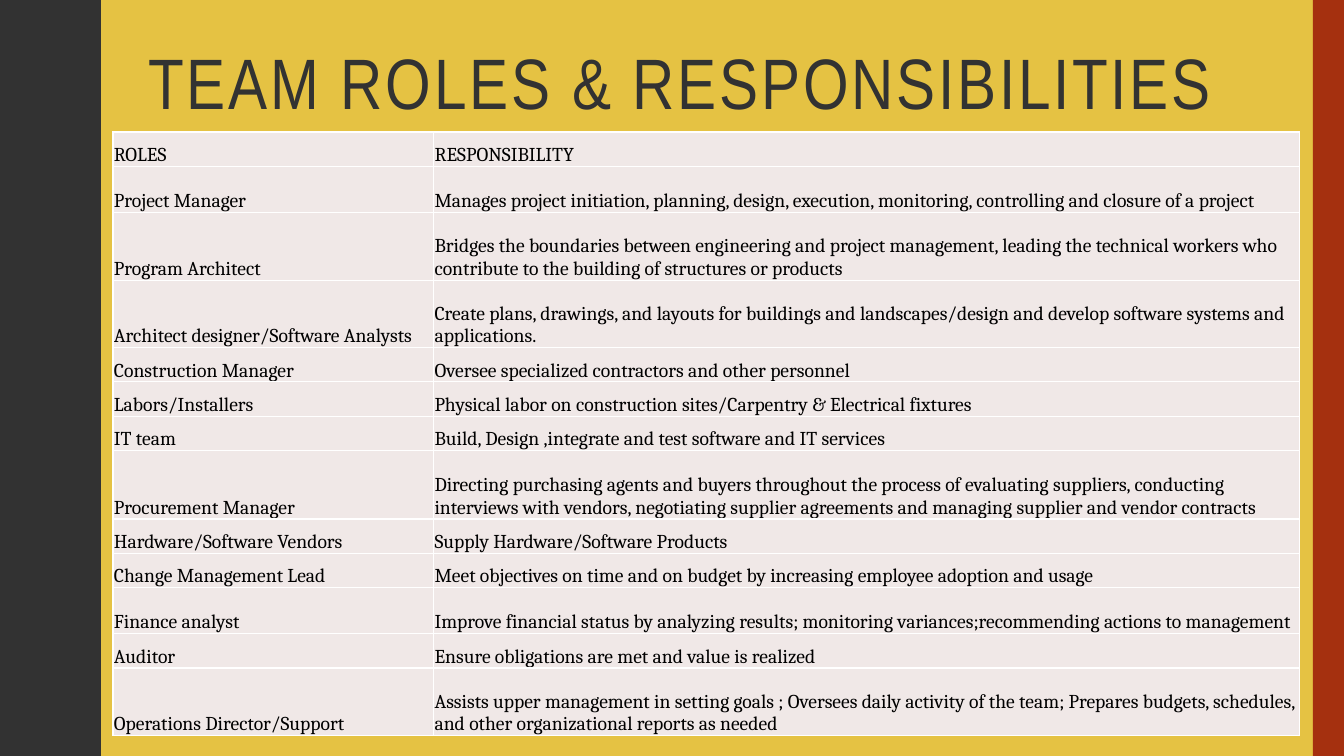
from lxml import etree
from pptx import Presentation
from pptx.dml.color import RGBColor
from pptx.enum import shapes, text
from pptx.oxml import ns
from pptx.util import Inches, Pt

TITLE = "TEAM ROLES & RESPONSIBILITIES"
# row height in inches, role, responsibility
ROLES = [
    (0.34, "ROLES", "RESPONSIBILITY"),
    (0.46, "Project Manager", "Manages project initiation, planning, design, execution, "
     "monitoring, controlling and closure of a project"),
    (0.67, "Program Architect", "Bridges the boundaries between engineering and project "
     "management, leading the technical workers who contribute to the building of "
     "structures or products"),
    (0.67, "Architect designer/Software Analysts", "Create plans, drawings, and layouts for "
     "buildings and landscapes/design and develop software systems and applications."),
    (0.34, "Construction Manager", "Oversee specialized contractors and other personnel"),
    (0.34, "Labors/Installers",
     "Physical labor on construction sites/Carpentry & Electrical fixtures"),
    (0.34, "IT team", "Build, Design ,integrate and test software and IT services"),
    (0.68, "Procurement Manager", "Directing purchasing agents and buyers throughout the "
     "process of evaluating suppliers, conducting interviews with vendors, negotiating "
     "supplier agreements and managing supplier and vendor contracts"),
    (0.34, "Hardware/Software Vendors", "Supply Hardware/Software Products"),
    (0.34, "Change Management Lead",
     "Meet objectives on time and on budget by increasing employee adoption and usage"),
    (0.46, "Finance analyst", "Improve financial status by analyzing results; monitoring "
     "variances;recommending actions to management"),
    (0.34, "Auditor", "Ensure obligations are met and value is realized"),
    (0.67, "Operations Director/Support", "Assists upper management in setting goals ; "
     "Oversees daily activity of the team; Prepares budgets, schedules, and other "
     "organizational reports as needed"),
]
COLUMNS = (3.18, 8.59)

GOLD = RGBColor(0xE5, 0xC2, 0x43)
CHARCOAL = RGBColor(0x32, 0x32, 0x32)
RUST = RGBColor(0xA5, 0x30, 0x0F)
CELL = RGBColor(0xF0, 0xE8, 0xE7)
BLACK = RGBColor(0, 0, 0)
WHITE = RGBColor(0xFF, 0xFF, 0xFF)

WIDTH, HEIGHT = 13.33, 7.5
WAVE = 1.5  # height of one full wave
# x, y along the first half wave, from trough to crest
HALF_WAVE = [(0.78, 0), (0.78, 0.07), (0.79, 0.14), (0.8, 0.2), (0.81, 0.25),
             (0.83, 0.29), (0.85, 0.33), (0.87, 0.38), (0.89, 0.42), (0.91, 0.46),
             (0.93, 0.5), (0.95, 0.55), (0.96, 0.61), (0.97, 0.68), (0.97, 0.75)]


def write(tf, words, font, size, color, spacing=None):
    p = tf.paragraphs[0]
    p.alignment = text.PP_ALIGN.LEFT
    r = p.add_run()
    r.text = words
    r.font.name, r.font.size = font, Pt(size)
    r.font.color.rgb = color
    if spacing:
        r.font._element.set("spc", str(spacing * 100))
    return p


def paint(sp, color):
    sp.shadow.inherit = False
    sp.fill.solid()
    sp.fill.fore_color.rgb = color
    sp.line.fill.background()


def set_borders(cell, color, width):
    tcPr = cell._tc.get_or_add_tcPr()
    for i, side in enumerate(("lnL", "lnR", "lnT", "lnB")):
        ln = etree.Element(ns.qn(f"a:{side}"), w=str(Pt(width)))
        fill = etree.SubElement(ln, ns.qn("a:solidFill"))
        etree.SubElement(fill, ns.qn("a:srgbClr"), val=str(color))
        tcPr.insert(i, ln)


def add_title(slide):
    title = slide.shapes.title
    title.left, title.top = Inches(1.37), Inches(0.42)
    title.width, title.height = Inches(11.13), Inches(1.63)
    tf = title.text_frame
    tf.word_wrap = True
    tf.auto_size = text.MSO_AUTO_SIZE.NONE
    tf.vertical_anchor = text.MSO_ANCHOR.TOP
    p = write(tf, TITLE, "Arial Narrow", 51, CHARCOAL, spacing=2)
    p.line_spacing = 0.9


def add_wavy_edge(slide):
    one_wave = HALF_WAVE + [(x, WAVE - y) for x, y in HALF_WAVE[-2:0:-1]]
    edge = [(x, y + n * WAVE) for n in range(round(HEIGHT / WAVE)) for x, y in one_wave]
    edge += [(HALF_WAVE[0][0], HEIGHT), (0, HEIGHT)]
    outline = slide.shapes.build_freeform(0, 0, scale=Inches(1))
    outline.add_line_segments(edge, close=True)
    paint(outline.convert_to_shape(), CHARCOAL)


def add_roles_table(slide):
    heights = [row[0] for row in ROLES]
    table = slide.shapes.add_table(
        len(ROLES), len(COLUMNS), Inches(1.12), Inches(1.31),
        Inches(sum(COLUMNS)), Inches(sum(heights))).table
    table.first_row = table.horz_banding = False
    for column, width in zip(table.columns, COLUMNS):
        column.width = Inches(width)
    for row, (height, *words) in zip(table.rows, ROLES):
        row.height = Inches(height)
        for cell, entry in zip(row.cells, words):
            cell.margin_left = cell.margin_right = cell.margin_top = Inches(0.01)
            cell.margin_bottom = 0
            cell.vertical_anchor = text.MSO_ANCHOR.BOTTOM
            cell.fill.solid()
            cell.fill.fore_color.rgb = CELL
            set_borders(cell, WHITE, 1)
            write(cell.text_frame, entry, "Cambria", 14, BLACK)


def main():
    prs = Presentation()
    prs.slide_width, prs.slide_height = Inches(WIDTH), Inches(HEIGHT)
    slide = prs.slides.add_slide(prs.slide_layouts[5])
    slide.background.fill.solid()
    slide.background.fill.fore_color.rgb = GOLD
    add_wavy_edge(slide)
    band = slide.shapes.add_shape(shapes.MSO_SHAPE.RECTANGLE, Inches(13.02), 0,
                                  Inches(WIDTH - 13.02), Inches(HEIGHT))
    paint(band, RUST)
    add_title(slide)
    add_roles_table(slide)
    prs.save("out.pptx")


if __name__ == "__main__":
    main()
